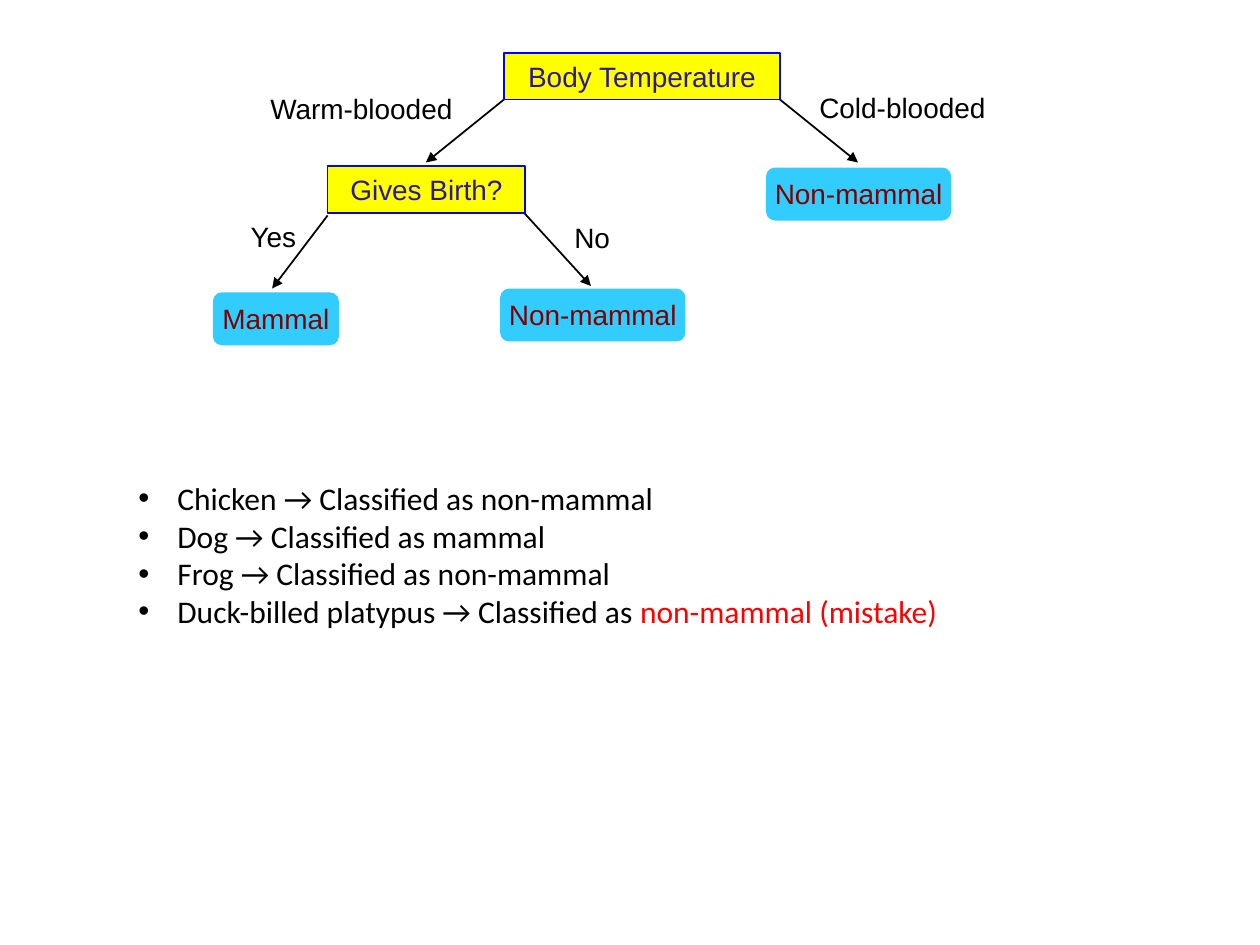
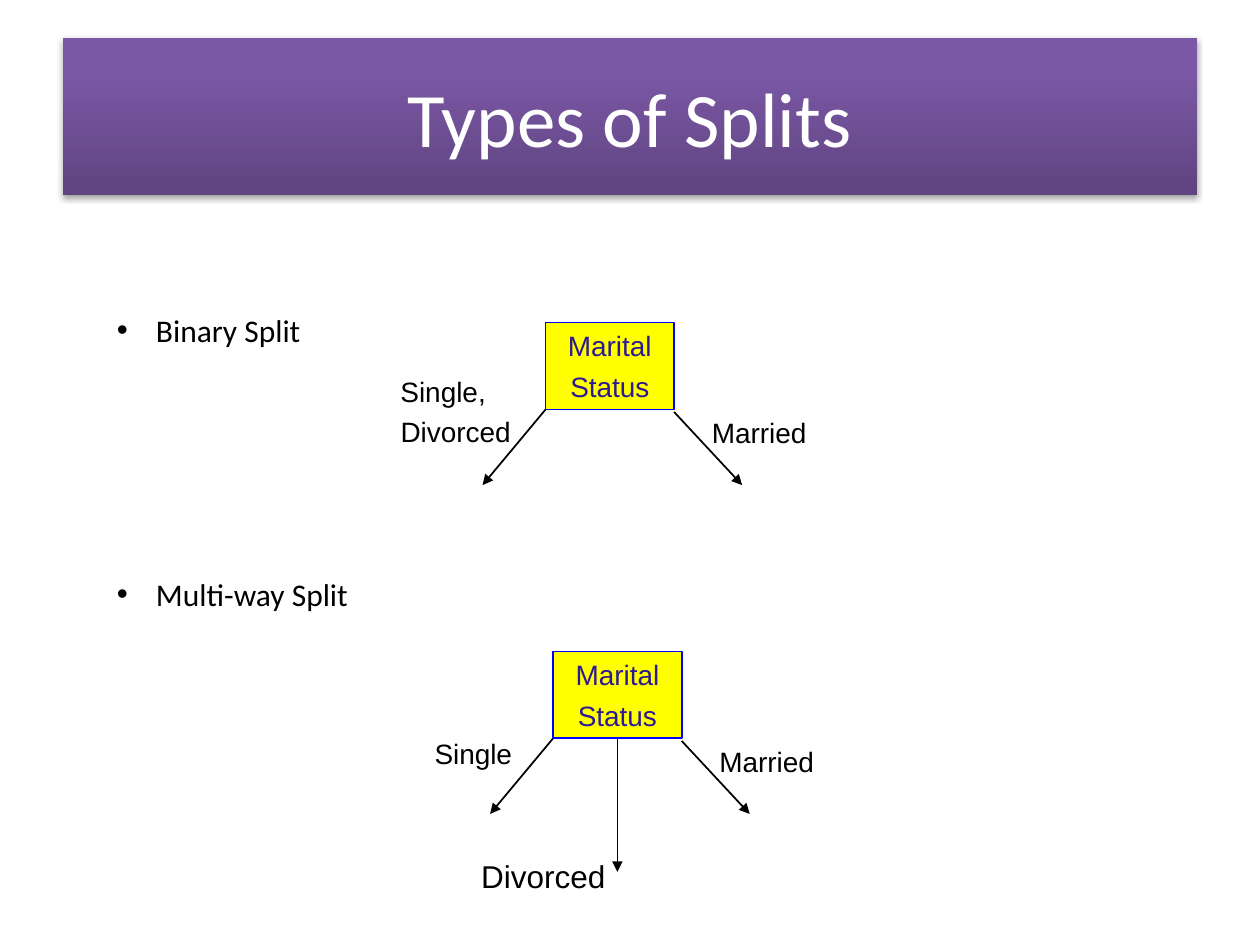
from lxml import etree
from pptx import Presentation
from pptx import util as u
from pptx.dml.color import RGBColor
from pptx.enum import shapes, text
from pptx.oxml import parse_xml
from pptx.oxml.ns import nsdecls, qn

# Lengths are px, 100 to the inch
PX = u.Inches(1) // 100

BLACK = RGBColor(0x00, 0x00, 0x00)
WHITE = RGBColor(0xFF, 0xFF, 0xFF)
RED = RGBColor(0xFF, 0x00, 0x00)
YELLOW = RGBColor(0xFF, 0xFF, 0x00)
BLUE = RGBColor(0x00, 0x00, 0xFF)
INDIGO = RGBColor(0x2D, 0x19, 0x93)
SKY = RGBColor(0x33, 0xCC, 0xFF)
MAROON = RGBColor(0x80, 0x00, 0x00)
BAND_STOPS = [
    (0, RGBColor(0x5F, 0x44, 0x80)),
    (80, RGBColor(0x7B, 0x58, 0xA6)),
    (100, RGBColor(0x7C, 0x57, 0xA8)),
]

DIAGRAM_FONT = "Arial"
BODY_FONT = "Calibri"
LEFT, CENTER, RIGHT = text.PP_ALIGN.LEFT, text.PP_ALIGN.CENTER, text.PP_ALIGN.RIGHT
TITLE_ONLY, BLANK = 5, 6


def px(*lengths):
    return [length * PX for length in lengths]


def style_span(span, font, size, color):
    span.font.name = font
    span.font.size = u.Pt(size)
    span.font.color.rgb = color


def write(box, words, color, aligns=(CENTER,), size=16, font=DIAGRAM_FONT, wrap=False):
    """Fill a box with one paragraph per line; the last alignment carries on."""
    frame = box.text_frame
    frame.text = words
    frame.word_wrap = wrap
    frame.vertical_anchor = text.MSO_ANCHOR.TOP
    for number, para in enumerate(frame.paragraphs):
        para.alignment = aligns[min(number, len(aligns) - 1)]
        if number:
            para.space_before = u.Pt(4)
        for span in para.runs:
            style_span(span, font, size, color)


# Tree parts
def add_node(page, words, left, top, width, height=37):
    node = page.shapes.add_shape(
        shapes.MSO_SHAPE.RECTANGLE, *px(left, top, width, height))
    node.shadow.inherit = False
    node.fill.solid()
    node.fill.fore_color.rgb = YELLOW
    node.line.color.rgb = BLUE
    node.line.width = u.Pt(1)
    write(node, words, INDIGO, wrap=True)
    return node


def add_leaf(page, words, left, top, width):
    leaf = page.shapes.add_shape(
        shapes.MSO_SHAPE.ROUNDED_RECTANGLE, *px(left, top, width, 42))
    leaf.shadow.inherit = False
    leaf.fill.solid()
    leaf.fill.fore_color.rgb = SKY
    leaf.line.fill.background()
    write(leaf, words, MAROON)


def add_label(page, words, left, top, width, height=37, aligns=(RIGHT,), size=16):
    label = page.shapes.add_textbox(*px(left, top, width, height))
    write(label, words, BLACK, aligns, size)


def add_arrow(page, start, end):
    arrow = page.shapes.add_connector(
        shapes.MSO_CONNECTOR.STRAIGHT, *px(*start, *end))
    arrow.line.color.rgb = BLACK
    arrow.line.width = u.Pt(1)
    properties = arrow.element.spPr
    etree.SubElement(properties.find(qn("a:ln")), qn("a:tailEnd"), type="triangle")
    etree.SubElement(properties, qn("a:effectLst"))
    return arrow


def add_split(page, left, top):
    """Marital status node with its two outer branches."""
    bottom, tip = top + 69, top + 129
    add_arrow(page, (left, bottom), (left - 50, tip))
    add_arrow(page, (left + 102, bottom + 2), (left + 156, tip))
    add_label(page, "Married ", left + 121, bottom, 102)
    return add_node(page, "Marital\nStatus", left, top, 102, 69)


# Bulleted text
def add_bullets(page, items, left, top, width, height, gap=0):
    """Each item is a list of (words, colour) spans."""
    box = page.shapes.add_textbox(*px(left, top, width, height))
    frame = box.text_frame
    frame.word_wrap = True
    for number, item in enumerate(items):
        para = frame.add_paragraph() if number else frame.paragraphs[0]
        for words, color in item:
            span = para.add_run()
            span.text = words
            style_span(span, BODY_FONT, 18, color)
        properties = para._p.get_or_add_pPr()
        properties.set("marL", str(31 * PX))
        properties.set("indent", str(-31 * PX))
        etree.SubElement(properties, qn("a:buFont"), typeface="Arial")
        etree.SubElement(properties, qn("a:buChar"), char="•")
        if number and gap:
            para.space_before = u.Pt(gap)


# Title band
def set_title(page, words):
    title = page.shapes.title
    title.left, title.top, title.width, title.height = px(50, 30, 900, 125)
    write(title, words, WHITE, size=44, font=BODY_FONT, wrap=True)
    title.text_frame.vertical_anchor = text.MSO_ANCHOR.MIDDLE
    stops = "".join(
        f'<a:gs pos="{percent * 1000}"><a:srgbClr val="{color}"/></a:gs>'
        for percent, color in BAND_STOPS)
    properties = title.element.spPr
    properties.append(parse_xml(
        f'<a:gradFill {nsdecls("a")} rotWithShape="1"><a:gsLst>{stops}</a:gsLst>'
        '<a:lin ang="16200000" scaled="0"/></a:gradFill>'))
    properties.append(parse_xml(
        f'<a:effectLst {nsdecls("a")}><a:outerShdw blurRad="{u.Pt(3.1)}" '
        f'dist="{u.Pt(1.8)}" dir="5400000" rotWithShape="0">'
        '<a:srgbClr val="000000"><a:alpha val="35000"/></a:srgbClr>'
        '</a:outerShdw></a:effectLst>'))


def build_mammal_tree(deck):
    page = deck.slides.add_slide(deck.slide_layouts[BLANK])
    for start, end in [
        ((260, 171), (216, 229)),
        ((416, 169), (469, 227)),
        ((619, 79), (681, 129)),
        ((400, 79), (338, 129)),
    ]:
        add_arrow(page, start, end)
    add_node(page, "Body Temperature", 400, 42, 219)
    add_node(page, "Gives Birth?", 260, 132, 157)
    add_leaf(page, "Non-mammal", 608, 133, 147)
    add_leaf(page, "Mammal", 169, 232, 100)
    add_leaf(page, "Non-mammal", 397, 229, 147)
    add_label(page, "Yes", 187, 169, 58)
    add_label(page, "No", 445, 170, 49)
    add_label(page, "Cold-blooded", 639, 67, 153)
    add_label(page, "Warm-blooded", 203, 68, 166)
    add_bullets(page, [
        [("Chicken → Classified as non-mammal", BLACK)],
        [("Dog → Classified as mammal", BLACK)],
        [("Frog → Classified as non-mammal", BLACK)],
        [("Duck-billed platypus → Classified as ", BLACK),
         ("non-mammal (mistake)", RED)],
    ], 100, 375, 700, 131)


def build_split_types(deck):
    page = deck.slides.add_slide(deck.slide_layouts[TITLE_ONLY])
    set_title(page, "Types of Splits")
    add_bullets(page, [[("Binary Split", BLACK)], [("Multi-way Split", BLACK)]],
                83, 242, 206, 252, gap=129)

    # Binary split
    add_split(page, 433, 256)
    add_label(page, "Single,\nDivorced", 308, 292, 109, 69, aligns=(LEFT, RIGHT))

    # Multi-way split
    node = add_split(page, 439, 517)
    add_label(page, "Single", 335, 580, 82, aligns=(LEFT,))
    middle_arrow = add_arrow(page, (490, 586), (490, 692))
    middle_arrow.begin_connect(node, 2)
    add_label(page, "Divorced", 372, 675, 125, 71, aligns=(LEFT,), size=18)


def main():
    deck = Presentation()
    deck.slide_width, deck.slide_height = px(1000, 750)
    build_mammal_tree(deck)
    build_split_types(deck)
    deck.save("out.pptx")


if __name__ == "__main__":
    main()
